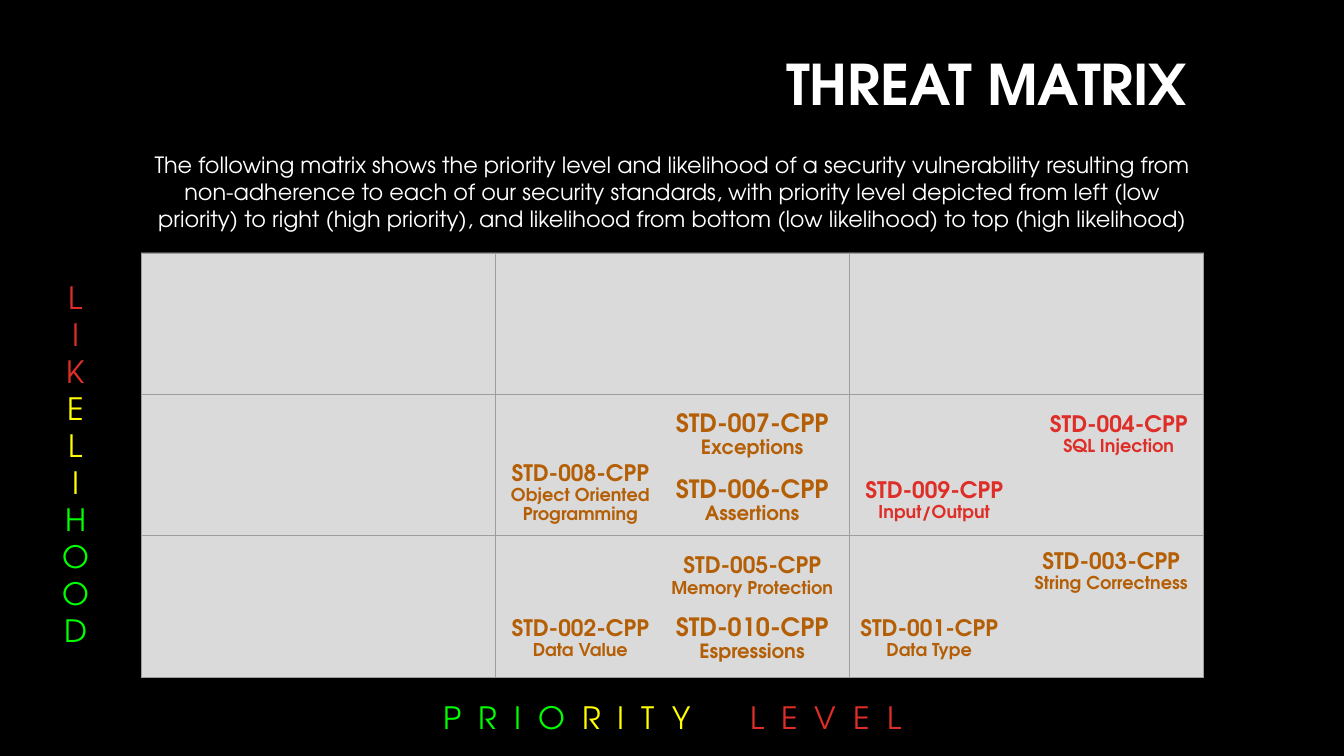
from dataclasses import dataclass

from lxml import etree
from pptx import Presentation
from pptx.dml.color import RGBColor
from pptx.enum.shapes import MSO_SHAPE
from pptx.enum.text import MSO_ANCHOR, MSO_AUTO_SIZE, PP_ALIGN
from pptx.oxml.ns import qn
from pptx.util import Inches, Pt

CENTER, RIGHT = PP_ALIGN.CENTER, PP_ALIGN.RIGHT
MIDDLE, TOP = MSO_ANCHOR.MIDDLE, MSO_ANCHOR.TOP
NO_AUTOFIT = MSO_AUTO_SIZE.NONE
RECTANGLE = MSO_SHAPE.RECTANGLE
FONT = "TeX Gyre Adventor"
COLORS = {
    "background": "000000",
    "text": "FFFFFF",
    "low": "00FF00",
    "medium": "FFFF00",
    "high": "DF2E28",
    "standard": "B45F06",
    "matrix": "DADADA",
    "outline": "454545",
    "grid": "9E9E9E",
}
GRID_SIZE = 3
GRID_LINE = Pt(0.75)
AXIS_SIZE = 22
LETTER_GAP = 3.05
WORD_GAP = 33.5


@dataclass(frozen=True)
class Box:
    left: float
    top: float
    width: float
    height: float

    def lengths(self):
        return [Inches(v) for v in (self.left, self.top, self.width, self.height)]


@dataclass(frozen=True)
class Standard:
    number: int
    name: str
    box: Box
    color: str = "standard"
    code_size: float = 16.2
    name_size: float = 12.6


@dataclass(frozen=True)
class AxisPart:
    text: str
    color: str
    gap: float = LETTER_GAP


MATRIX = Box(1.4, 2.51, 10.54, 4.21)
STANDARDS = [
    Standard(1, "Data Type", Box(8.37, 5.98, 1.69, 0.71)),
    Standard(2, "Data Value", Box(4.91, 5.98, 1.69, 0.71)),
    Standard(3, "String Correctness", Box(10.11, 5.32, 1.82, 0.71)),
    Standard(4, "SQL Injection", Box(10.25, 3.91, 1.69, 0.81), "high"),
    Standard(5, "Memory Protection", Box(6.55, 5.36, 1.82, 0.71)),
    Standard(6, "Assertions", Box(6.55, 4.61, 1.82, 0.71), "standard", 18, 14),
    Standard(7, "Exceptions", Box(6.55, 3.91, 1.82, 0.81), "standard", 18, 14),
    Standard(8, "Object Oriented Programming", Box(4.91, 4.42, 1.69, 0.94)),
    Standard(9, "Input/Output", Box(8.42, 4.61, 1.69, 0.71), "high"),
    Standard(10, "Espressions", Box(6.55, 5.93, 1.82, 0.81), "standard", 18, 14),
]
PRIORITY = [
    AxisPart("P R I O ", "low"),
    AxisPart("R I T Y", "medium"),
    AxisPart(" ", "medium", WORD_GAP),
    AxisPart("L E V E L", "high"),
]
LIKELIHOOD = [AxisPart("LIK", "high"), AxisPart("ELI", "medium"), AxisPart("HOOD", "low")]
INTRO = (
    "The following matrix shows the priority level and likelihood of a security "
    "vulnerability resulting from non-adherence to each of our security standards, "
    "with priority level depicted from left (low priority) to right (high priority), "
    "and likelihood from bottom (low likelihood) to top (high likelihood)"
)


def rgb(color: str) -> RGBColor:
    return RGBColor.from_string(COLORS[color])


def style_font(font, size: float, color: str, bold: bool = False) -> None:
    font.name, font.size, font.bold = FONT, Pt(size), bold
    font.color.rgb = rgb(color)


def style_frame(frame, anchor=TOP, vertical_inset: float = 0.1) -> None:
    frame.word_wrap = True
    frame.auto_size = NO_AUTOFIT
    frame.vertical_anchor = anchor
    frame.margin_left = frame.margin_right = Inches(0.1)
    frame.margin_top = frame.margin_bottom = Inches(vertical_inset)


def add_frame(slide, box: Box, anchor=TOP, vertical_inset: float = 0.1):
    frame = slide.shapes.add_textbox(*box.lengths()).text_frame
    style_frame(frame, anchor, vertical_inset)
    return frame


def write_lines(frame, lines, align=CENTER, spacing: float = 1.0, bold: bool = False) -> None:
    frame.text = "\n".join(text for text, _, _ in lines)
    for paragraph, (_, size, color) in zip(frame.paragraphs, lines):
        paragraph.alignment = align
        paragraph.line_spacing = spacing
        style_font(paragraph.font, size, color, bold)


def add_title(slide) -> None:
    title = slide.shapes.title
    title.left, title.top, title.width, title.height = Box(2.45, 0.16, 9.42, 1.41).lengths()
    style_frame(title.text_frame, MIDDLE, 0.05)
    write_lines(title.text_frame, [("THREAT MATRIX", 40, "text")], RIGHT, 0.9, True)


def add_priority_axis(slide) -> None:
    paragraph = add_frame(slide, Box(3.29, 6.83, 6.76, 0.54)).paragraphs[0]
    paragraph.alignment = CENTER
    for part in PRIORITY:
        run = paragraph.add_run()
        run.text = part.text
        style_font(run.font, AXIS_SIZE, part.color)
        run.font._element.set("spc", str(round(part.gap * 100)))


def add_likelihood_axis(slide) -> None:
    letters = [(letter, AXIS_SIZE, part.color) for part in LIKELIHOOD for letter in part.text]
    write_lines(add_frame(slide, Box(0.44, 2.67, 0.62, 4.44)), letters)


def set_cell_borders(cell) -> None:
    properties = cell._tc.get_or_add_tcPr()
    for position, side in enumerate(("lnL", "lnR", "lnT", "lnB")):
        line = etree.Element(qn(f"a:{side}"), w=str(GRID_LINE))
        fill = etree.SubElement(line, qn("a:solidFill"))
        etree.SubElement(fill, qn("a:srgbClr"), val=COLORS["grid"])
        properties.insert(position, line)


def add_matrix(slide) -> None:
    panel = slide.shapes.add_shape(RECTANGLE, *MATRIX.lengths())
    panel.shadow.inherit = False
    panel.fill.solid()
    panel.fill.fore_color.rgb = rgb("matrix")
    panel.line.color.rgb = rgb("outline")
    panel.line.width = GRID_LINE

    grid = slide.shapes.add_table(GRID_SIZE, GRID_SIZE, *MATRIX.lengths()).table
    grid.first_row = grid.horz_banding = False
    for cell in grid.iter_cells():
        cell.fill.background()
        set_cell_borders(cell)


def add_standard(slide, standard: Standard) -> None:
    lines = [
        (f"STD-{standard.number:03}-CPP", standard.code_size, standard.color),
        (standard.name, standard.name_size, standard.color),
    ]
    write_lines(add_frame(slide, standard.box, MIDDLE, 0.05), lines, spacing=0.9, bold=True)


def main() -> None:
    deck = Presentation()
    deck.slide_width, deck.slide_height = Inches(13.33), Inches(7.5)
    slide = deck.slides.add_slide(deck.slide_layouts.get_by_name("Title Only"))
    slide.background.fill.solid()
    slide.background.fill.fore_color.rgb = rgb("background")

    add_title(slide)
    add_priority_axis(slide)
    add_likelihood_axis(slide)
    write_lines(add_frame(slide, Box(1.4, 1.4, 10.54, 0.94)), [(INTRO, 16, "text")])
    add_matrix(slide)
    for standard in STANDARDS:
        add_standard(slide, standard)
    deck.save("out.pptx")


if __name__ == "__main__":
    main()
